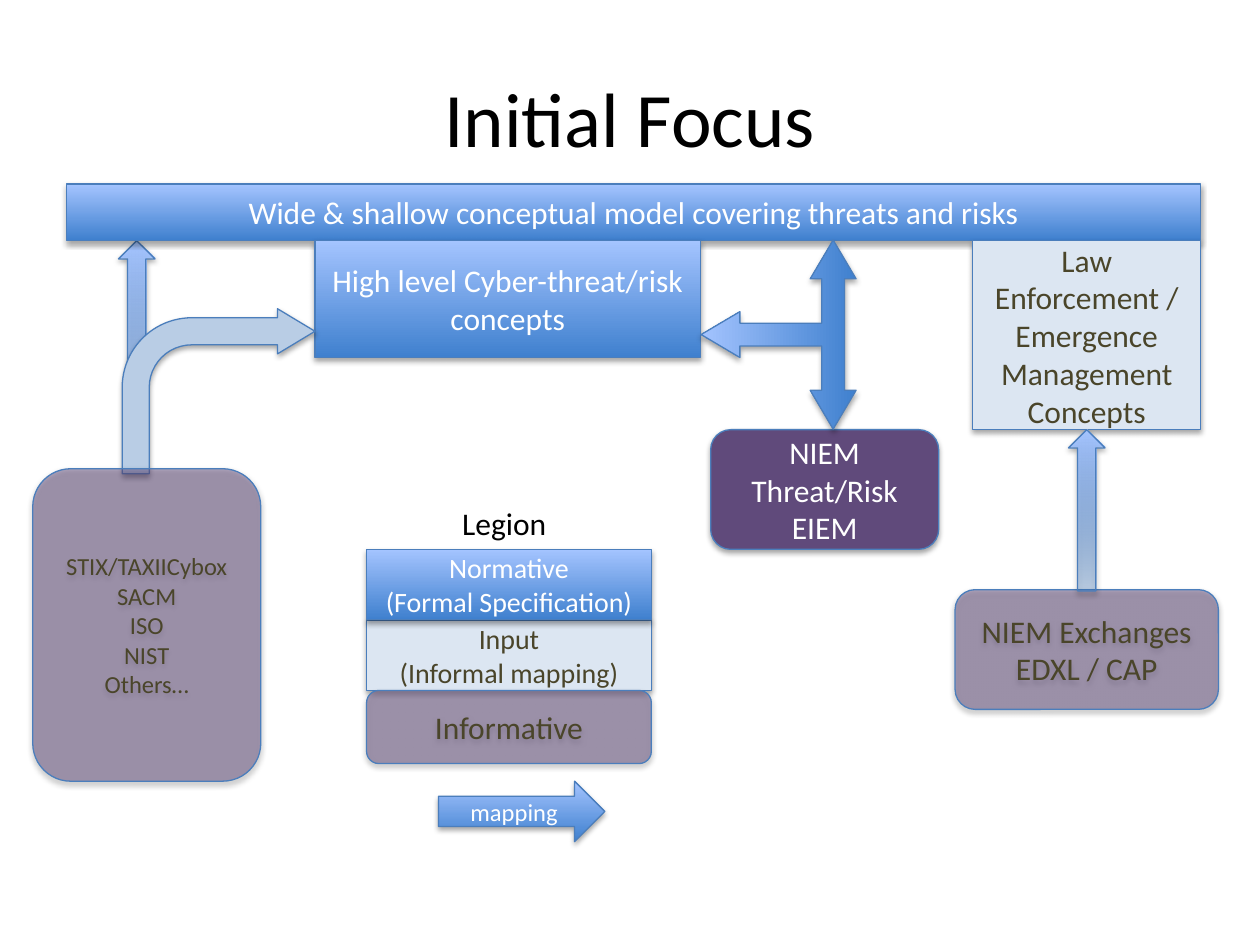
import dataclasses

import pptx
import pptx.dml.color
import pptx.enum.shapes
import pptx.enum.text
import pptx.oxml.ns
import pptx.util
from lxml import etree

Inches = pptx.util.Inches
Pt = pptx.util.Pt
SHAPE = pptx.enum.shapes.MSO_SHAPE
ALIGN = pptx.enum.text.PP_ALIGN
ANCHOR = pptx.enum.text.MSO_ANCHOR
qn = pptx.oxml.ns.qn


@dataclasses.dataclass(frozen=True)
class Theme:
    font: str = "Calibri"
    black: str = "000000"
    white: str = "FFFFFF"
    olive: str = "4A452A"
    outline: str = "4B7EBC"
    deep_blue: str = "3F80CE"
    light_blue: str = "A4C4FF"
    pale: str = "DCE6F2"
    bend: str = "B9CDE5"
    purple: str = "604A7B"
    title: int = 44
    body: int = 18
    legend: int = 16
    small: int = 14


THEME = Theme()


def rgb(value):
    return pptx.dml.color.RGBColor.from_string(value)


def set_alpha(parent, percent):
    """Make the first colour found under parent partly transparent."""
    color = next(parent.iter(qn("a:srgbClr")))
    etree.SubElement(color, qn("a:alpha")).set("val", str(percent * 1000))


def write(frame, text, size=THEME.body, color=THEME.black, align=ALIGN.CENTER,
          anchor=ANCHOR.MIDDLE, wrap=True):
    """Put text in a frame, one paragraph for each line."""
    frame.text = text
    frame.word_wrap = wrap
    frame.vertical_anchor = anchor
    for paragraph in frame.paragraphs:
        paragraph.alignment = align
        for run in paragraph.runs:
            run.font.name = THEME.font
            run.font.size = Pt(size)
            run.font.color.rgb = rgb(color)


def add_shadow(shape):
    shape.shadow.inherit = False
    effects = shape._element.spPr.find(qn("a:effectLst"))
    shadow = etree.SubElement(effects, qn("a:outerShdw"), blurRad="40000",
                              dist="23000", dir="5400000", rotWithShape="0")
    color = etree.SubElement(shadow, qn("a:srgbClr"), val=THEME.black)
    etree.SubElement(color, qn("a:alpha"), val="35000")


def add_block(slide, kind, box, fill=None, alpha=None, adjust=(), rotation=0):
    """Add an outlined, shadowed shape; without a fill colour it gets the blue gradient."""
    block = slide.shapes.add_shape(kind, *map(Inches, box))
    block.rotation = rotation
    for index, value in enumerate(adjust):
        block.adjustments[index] = value
    if fill:
        block.fill.solid()
        block.fill.fore_color.rgb = rgb(fill)
    else:
        block.fill.gradient()
        block.fill.gradient_angle = 90
        for stop, color in zip(block.fill.gradient_stops,
                               (THEME.deep_blue, THEME.light_blue)):
            stop.color.rgb = rgb(color)
    if alpha:
        set_alpha(block._element.spPr, alpha)
    block.line.color.rgb = rgb(THEME.outline)
    block.line.width = Pt(0.75)
    add_shadow(block)
    return block


def add_normative(slide, box, text, kind=SHAPE.RECTANGLE, size=THEME.body):
    write(add_block(slide, kind, box).text_frame, text, size=size, color=THEME.white)


def add_input(slide, box, text, size=THEME.body):
    block = add_block(slide, SHAPE.RECTANGLE, box, fill=THEME.pale)
    write(block.text_frame, text, size=size, color=THEME.olive)


def add_informative(slide, box, text, size=THEME.body):
    block = add_block(slide, SHAPE.ROUNDED_RECTANGLE, box, fill=THEME.purple, alpha=49)
    write(block.text_frame, text, size=size, color=THEME.olive)


def add_up_mapping(slide, box):
    add_block(slide, SHAPE.UP_ARROW, box, alpha=27)


def add_title(slide, text):
    title = slide.shapes.title
    title.left, title.top, title.width, title.height = map(Inches, (0.5, 0.3, 9, 1.25))
    write(title.text_frame, text, size=THEME.title)


def add_concepts(slide):
    model_bottom = 1.91
    add_up_mapping(slide, (0.94, model_bottom, 0.29, 1.81))
    add_normative(slide, (0.53, 1.46, 9, 0.45),
                  "Wide & shallow conceptual model covering threats and risks")
    add_normative(slide, (2.5, model_bottom, 3.06, 0.93),
                  "High level Cyber-threat/risk concepts")
    add_input(slide, (7.72, model_bottom, 1.81, 1.5),
              "Law Enforcement / Emergence Management Concepts")


def add_sources(slide):
    # Cyber standards feeding the cyber concepts
    add_block(slide, SHAPE.BENT_ARROW, (0.97, 2.45, 1.53, 1.31), fill=THEME.bend,
              adjust=(0.164, 0.137, 0.227, 0.422))
    add_informative(slide, (0.26, 3.72, 1.81, 2.48),
                    "STIX/TAXIICybox\nSACM\nISO\nNIST\nOthers…", size=THEME.small)

    # NIEM model with its three-way mapping
    eiem = add_block(slide, SHAPE.ROUNDED_RECTANGLE, (5.64, 3.41, 1.81, 0.95),
                     fill=THEME.purple)
    write(eiem.text_frame, "NIEM Threat/Risk EIEM", color=THEME.white)
    add_block(slide, SHAPE.LEFT_RIGHT_UP_ARROW, (5.43, 2.04, 1.5, 1.23),
              adjust=(0.147, 0.148, 0.25), rotation=270)

    # Exchanges feeding the law enforcement concepts
    add_informative(slide, (7.58, 4.68, 2.09, 0.95), "NIEM Exchanges\nEDXL / CAP")
    add_up_mapping(slide, (8.48, 3.41, 0.29, 1.28))


def add_legend(slide):
    left, top, width, row = 2.91, 4.36, 2.26, 0.56
    heading = slide.shapes.add_textbox(*map(Inches, (3.57, 3.95, 0.88, 0.4)))
    write(heading.text_frame, "Legion", align=ALIGN.LEFT, anchor=ANCHOR.TOP, wrap=False)
    heading.text_frame.auto_size = pptx.enum.text.MSO_AUTO_SIZE.SHAPE_TO_FIT_TEXT

    add_input(slide, (left, top + row, width, row), "Input\n(Informal mapping)",
              size=THEME.legend)
    add_normative(slide, (left, top, width, row), "Normative\n(Formal Specification)",
                  size=THEME.legend)
    add_informative(slide, (left, top + 2 * row, width, 0.58), "Informative")
    add_normative(slide, (3.48, 6.2, 1.32, 0.48), "mapping",
                  kind=SHAPE.RIGHT_ARROW, size=THEME.small)


def main():
    deck = pptx.Presentation()
    deck.slide_width, deck.slide_height = Inches(10), Inches(7.5)
    slide = deck.slides.add_slide(deck.slide_layouts[5])
    add_title(slide, "Initial Focus")
    add_concepts(slide)
    add_sources(slide)
    add_legend(slide)
    deck.save("out.pptx")


if __name__ == "__main__":
    main()
